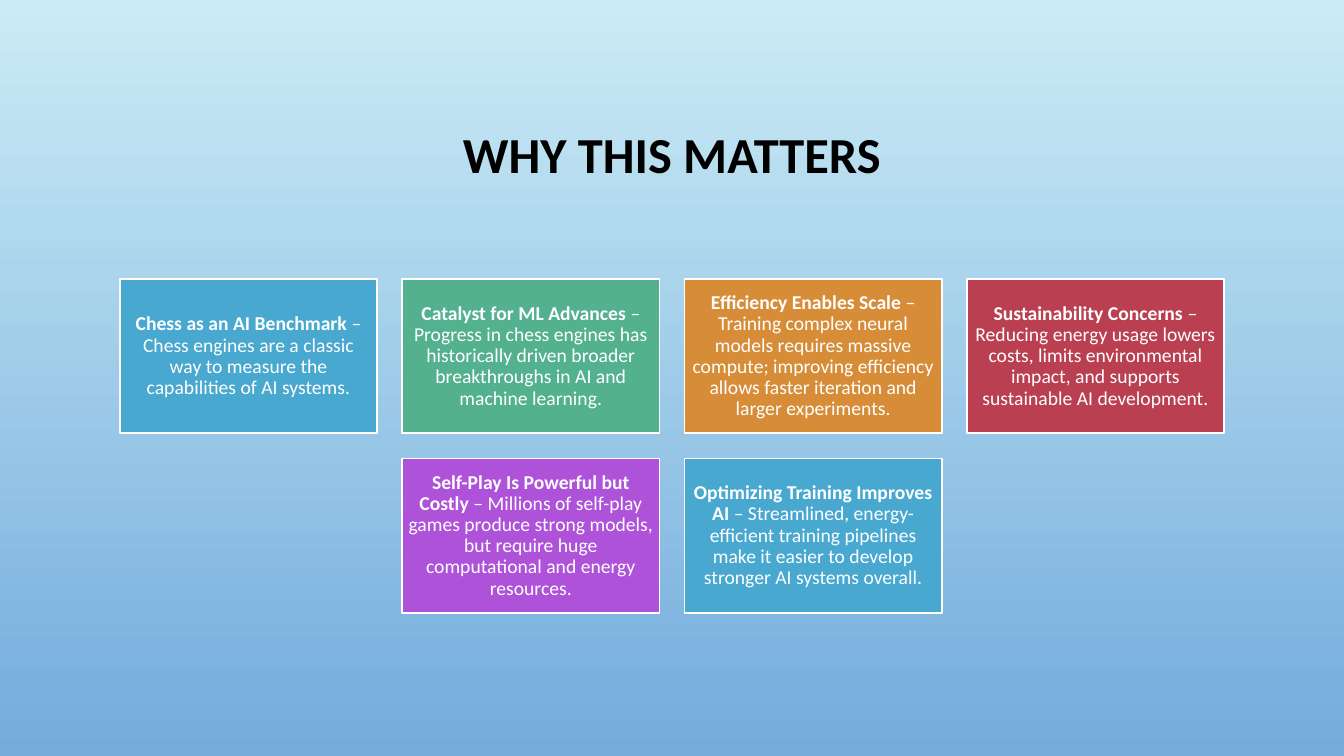
from pptx import Presentation
from pptx.dml.color import RGBColor
from pptx.enum.shapes import MSO_SHAPE
from pptx.enum.text import MSO_ANCHOR, PP_ALIGN
from pptx.util import Pt

TITLE = "WHY THIS MATTERS"
ROWS = [
    [
        ("Chess as an AI Benchmark",
         " – Chess engines are a classic way to measure the capabilities of AI systems.",
         "blue"),
        ("Catalyst for ML Advances",
         " – Progress in chess engines has historically driven broader breakthroughs "
         "in AI and machine learning.",
         "green"),
        ("Efficiency Enables Scale",
         " – Training complex neural models requires massive compute; improving "
         "efficiency allows faster iteration and larger experiments.",
         "orange"),
        ("Sustainability Concerns",
         " – Reducing energy usage lowers costs, limits environmental impact, and "
         "supports sustainable AI development.",
         "red"),
    ],
    [
        ("Self-Play Is Powerful but Costly",
         " – Millions of self-play games produce strong models, but require huge "
         "computational and energy resources.",
         "purple"),
        ("Optimizing Training Improves AI",
         " – Streamlined, energy-efficient training pipelines make it easier to "
         "develop stronger AI systems overall.",
         "blue"),
    ],
]
COLORS = {
    "sky": "CBECF5", "dusk": "73ABDD", "black": "000000", "white": "FFFFFF",
    "blue": "48A8D0", "green": "53B18F", "orange": "D78D38",
    "red": "BA3F51", "purple": "AE52D9",
}
FONT = "Calibri"
PX = 9144  # EMU per px, 100 px to the inch
SLIDE_WIDTH, SLIDE_HEIGHT = 1333, 750
TITLE_BOX = (100, 68, 1133, 175)
CARD_WIDTH, CARD_HEIGHT, GAP = 255, 153, 25
CARDS_TOP, CARD_INSET = 277, 6


def color(name):
    return RGBColor.from_string(COLORS[name])


def scaled(*lengths):
    return [length * PX for length in lengths]


def write(shape, parts, size, color_name):
    """Fill a shape with one centred paragraph of (text, bold) parts."""
    frame = shape.text_frame
    frame.word_wrap = True
    frame.vertical_anchor = MSO_ANCHOR.MIDDLE
    paragraph = frame.paragraphs[0]
    paragraph.alignment = PP_ALIGN.CENTER
    paragraph.line_spacing = 0.9
    for text, bold in parts:
        run = paragraph.add_run()
        run.text = text
        run.font.name = FONT
        run.font.size = Pt(size)
        run.font.bold = bold
        run.font.color.rgb = color(color_name)


def paint_background(slide):
    fill = slide.background.fill
    fill.gradient()
    fill.gradient_angle = 270
    for stop, name in zip(fill.gradient_stops, ("sky", "dusk")):
        stop.color.rgb = color(name)


def add_card(slide, left, top, heading, body, fill_name):
    card = slide.shapes.add_shape(
        MSO_SHAPE.RECTANGLE, *scaled(left, top, CARD_WIDTH, CARD_HEIGHT))
    card.shadow.inherit = False
    card.fill.solid()
    card.fill.fore_color.rgb = color(fill_name)
    card.line.color.rgb = color("white")
    card.line.width = Pt(1.25)
    frame = card.text_frame
    frame.margin_left = frame.margin_right = CARD_INSET * PX
    frame.margin_top = frame.margin_bottom = CARD_INSET * PX
    write(card, [(heading, True), (body, False)], 14, "white")


def main():
    presentation = Presentation()
    presentation.slide_width, presentation.slide_height = scaled(SLIDE_WIDTH, SLIDE_HEIGHT)
    slide = presentation.slides.add_slide(presentation.slide_layouts[6])
    paint_background(slide)

    title = slide.shapes.add_textbox(*scaled(*TITLE_BOX))
    write(title, [(TITLE, True)], 36, "black")

    for row_index, row in enumerate(ROWS):
        row_width = len(row) * (CARD_WIDTH + GAP) - GAP
        row_left = (SLIDE_WIDTH - row_width) // 2
        top = CARDS_TOP + row_index * (CARD_HEIGHT + GAP)
        for column, (heading, body, fill_name) in enumerate(row):
            left = row_left + column * (CARD_WIDTH + GAP)
            add_card(slide, left, top, heading, body, fill_name)

    presentation.save("out.pptx")


if __name__ == "__main__":
    main()
